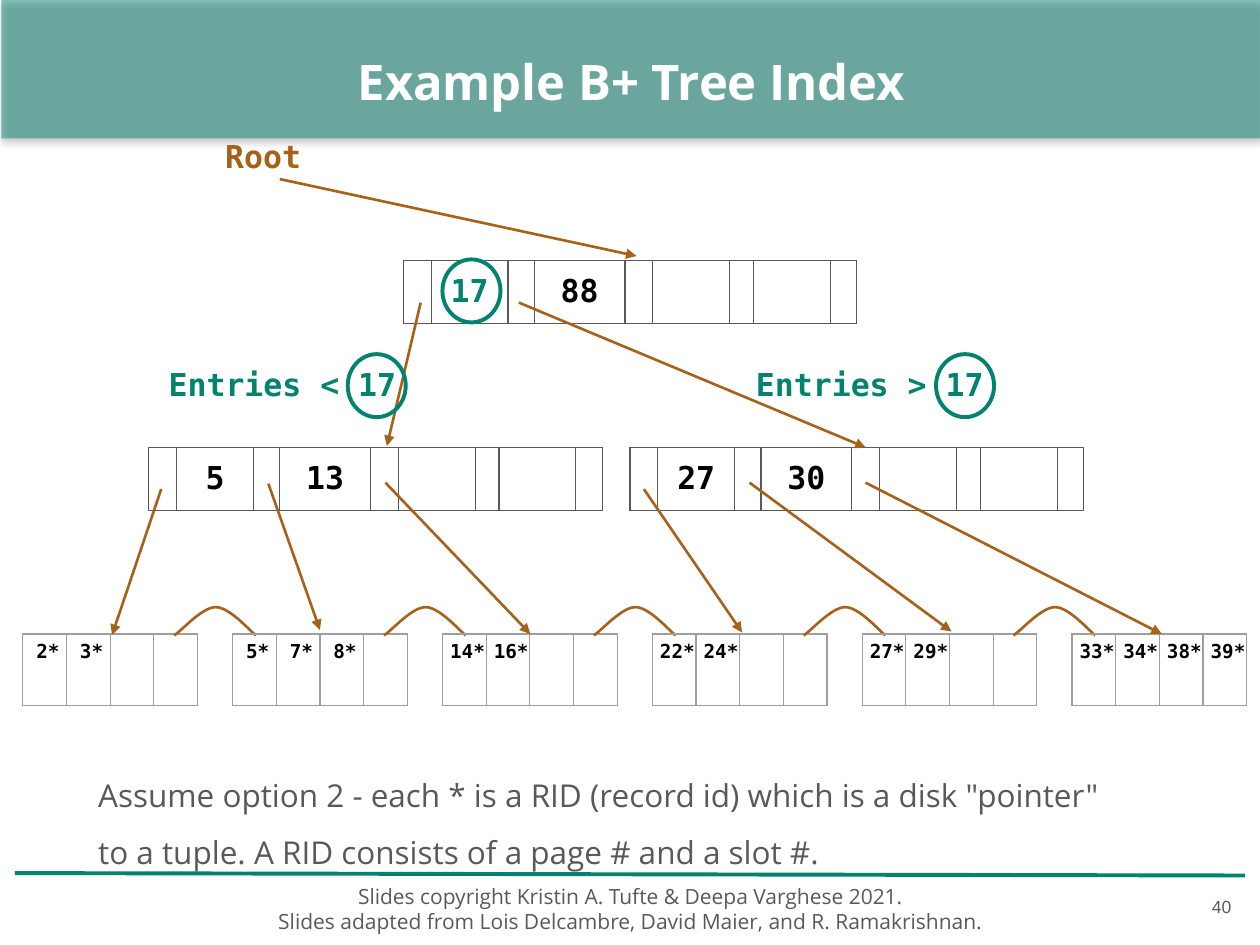
from lxml.etree import SubElement
from pptx import Presentation
from pptx.dml.color import RGBColor
from pptx.enum.shapes import MSO_CONNECTOR, MSO_SHAPE
from pptx.enum.text import MSO_ANCHOR, PP_ALIGN
from pptx.oxml import parse_xml
from pptx.oxml.ns import nsdecls, qn
from pptx.util import Cm, Pt

# Content, lengths in cm
COLORS = {"teal": "018370", "brown": "A6611A", "gray": "595959",
          "light": "9E9E9E", "white": "FFFFFF", "black": "000000"}
SANS, MONO = "Open Sans", "DejaVu Sans Mono"
TITLE = "Example B+ Tree Index"
NOTE = ('Assume option 2 - each * is a RID (record id) which is a disk "pointer" '
        "to a tuple. A RID consists of a page # and a slot #.")
CREDITS = ["Slides copyright Kristin A. Tufte & Deepa Varghese 2021.",
           "Slides adapted from Lois Delcambre, David Maier, and R. Ramakrishnan."]
LABELS = [("Root", 4.29, 2.64, 2.64, "brown"),
          ("Entries < 17", 3.15, 7.24, 5.26, "teal"),
          ("Entries > 17", 14.99, 7.24, 5.26, "teal")]
# Inner nodes: left, top, keys, key colours
NODES = [(8.13, 5.26, ["17", "88"], ["teal", "black"]),
         (3.0, 9.02, ["5", "13"], ["black", "black"]),
         (12.7, 9.02, ["27", "30"], ["black", "black"])]
NODE_COLS = [0.56, 1.55, 0.53, 1.83, 0.56, 1.55, 0.48, 1.55, 0.53]
LEAVES = [["2*", "3*"], ["5*", "7*", "8*"], ["14*", "16*"],
          ["22*", "24*"], ["27*", "29*"], ["33*", "34*", "38*", "39*"]]
LEAF_LEFT, LEAF_TOP, LEAF_PITCH, LEAF_COL = 0.46, 12.78, 4.23, 0.88
# Link between leaves: start, then two cubic curves
LINK = [(0, 0.57), (0.15, 0.48), (0.56, 0), (0.84, 0),
        (1.12, 0), (1.53, 0.48), (1.65, 0.57)]
LINK_DX, LINK_TOP = 3.05, 12.24
POINTERS = [(5.64, 3.61, 12.83, 5.16),
            (8.48, 6.1, 7.8, 8.99), (10.46, 6.1, 17.45, 9.02),
            (3.25, 9.86, 2.26, 12.8), (5.41, 9.75, 6.45, 12.7),
            (7.77, 9.73, 10.69, 12.78), (12.98, 9.86, 14.96, 12.75),
            (15.11, 9.73, 19.18, 12.73), (17.45, 9.73, 23.42, 12.78)]
CIRCLES = [(18.87, 7.14), (7.01, 7.14), (8.92, 5.23)]

prs = Presentation()
prs.slide_width, prs.slide_height = Cm(25.4), Cm(19.05)
s = prs.slides.add_slide(prs.slide_layouts[6])


def rgb(name):
    return RGBColor.from_string(COLORS[name])


def style(p, size, color, font=MONO, bold=False, align=PP_ALIGN.LEFT):
    f = p.font
    f.name, f.size, f.bold = font, Pt(size), bold
    f.color.rgb = rgb(color)
    p.alignment = align


def text(lines, x, y, w, h, *fmt, anchor=MSO_ANCHOR.TOP, spacing=None, before=0):
    tf = s.shapes.add_textbox(Cm(x), Cm(y), Cm(w), Cm(h)).text_frame
    tf.word_wrap, tf.vertical_anchor = True, anchor
    for i, line in enumerate(lines):
        p = tf.add_paragraph() if i else tf.paragraphs[0]
        p.text = line
        p.line_spacing, p.space_before = spacing, Pt(before)
        style(p, *fmt)


def line(x1, y1, x2, y2, color, width, arrow=False):
    c = s.shapes.add_connector(MSO_CONNECTOR.STRAIGHT, Cm(x1), Cm(y1), Cm(x2), Cm(y2))
    c.line.color.rgb, c.line.width = rgb(color), Pt(width)
    if arrow:
        SubElement(c.line._get_or_add_ln(), qn("a:tailEnd"), type="triangle")
    SubElement(c._element.spPr, qn("a:effectLst"))


def table(x, y, cols, height, values, colors, border, size, margins):
    """One-row table; values and colors map a column to its text and colour."""
    t = s.shapes.add_table(1, len(cols), Cm(x), Cm(y), Cm(sum(cols)), Cm(height)).table
    t.first_row = t.horz_banding = False
    t.rows[0].height = Cm(height)
    for i, width in enumerate(cols):
        t.columns[i].width = Cm(width)
        cell = t.cell(0, i)
        left, top, right, bottom = margins if i in values else (0, 0, 0, 0)
        cell.margin_left, cell.margin_right = Cm(left), Cm(right)
        cell.margin_top, cell.margin_bottom = Cm(top), Cm(bottom)
        p = cell.text_frame.paragraphs[0]
        p.text = values.get(i, "")
        style(p, size, colors.get(i, "black"), MONO, True, PP_ALIGN.CENTER)
        tcPr = cell._tc.get_or_add_tcPr()
        for side in ("lnL", "lnR", "lnT", "lnB"):
            tcPr.append(parse_xml(
                f'<a:{side} {nsdecls("a")} w="9525"><a:solidFill>'
                f'<a:srgbClr val="{COLORS[border]}"/></a:solidFill></a:{side}>'))
        cell.fill.background()


def link(x, y):
    pts = [(Cm(x + dx), Cm(y + dy)) for dx, dy in LINK]
    fb = s.shapes.build_freeform(*pts[0])
    fb.add_line_segments(pts[1:], close=False)
    sp = fb.convert_to_shape()
    sp.shadow.inherit = False
    sp.fill.background()
    sp.line.color.rgb, sp.line.width = rgb("brown"), Pt(1.5)
    # Turn each three segments into one cubic curve
    segments = list(sp._element.iter(qn("a:lnTo")))
    outline = segments[0].getparent()
    for i in range(0, len(segments), 3):
        curve = SubElement(outline, qn("a:cubicBezTo"))
        for seg in segments[i:i + 3]:
            curve.append(seg[0])
            outline.remove(seg)


# Header band, half transparent with a soft shadow
band = s.shapes.add_shape(MSO_SHAPE.RECTANGLE, Cm(0.03), 0, Cm(25.4), Cm(2.79))
band.shadow.inherit = False
band.fill.solid()
band.fill.fore_color.rgb = rgb("teal")
band.line.fill.background()
SubElement(band._element.spPr.find(".//" + qn("a:srgbClr")), qn("a:alpha"), val="46000")
band._element.spPr.find(qn("a:effectLst")).append(parse_xml(
    f'<a:outerShdw {nsdecls("a")} blurRad="57150" dist="19050" dir="5400000" '
    'algn="bl" rotWithShape="0"><a:srgbClr val="000000"><a:alpha val="50000"/>'
    "</a:srgbClr></a:outerShdw>"))

# Footer and title
line(0.3, 17.6, 25.1, 17.65, "teal", 2.25)
text(CREDITS, 1.35, 17.6, 22.73, 1.45, 12, "gray", SANS, False, PP_ALIGN.CENTER,
     anchor=MSO_ANCHOR.MIDDLE)
text([TITLE], 0.03, -0.05, 25.4, 2.79, 28, "white", SANS, True, PP_ALIGN.CENTER,
     anchor=MSO_ANCHOR.MIDDLE, spacing=1.5)
text(["40"], 23.55, 17.55, 1.52, 1.45, 10, "gray", "Arial", False, PP_ALIGN.RIGHT,
     anchor=MSO_ANCHOR.MIDDLE)

# Tree nodes: keys sit in the second and fourth columns
for x, y, keys, colors in NODES:
    table(x, y, NODE_COLS, 1.25, dict(zip((1, 3), keys)), dict(zip((1, 3), colors)),
          "gray", 18, (0.25, 0.25, 0.25, 0.25))
for i, entries in enumerate(LEAVES):
    x = LEAF_LEFT + i * LEAF_PITCH
    table(x, LEAF_TOP, [LEAF_COL] * 4, 1.45, dict(enumerate(entries)), {},
          "light", 11, (0.13, 0.13, 0, 0.13))
    if i < len(LEAVES) - 1:
        link(x + LINK_DX, LINK_TOP)

# Pointers, labels and circled keys
for ends in POINTERS:
    line(*ends, "brown", 1.5, arrow=True)
for label, x, y, w, color in LABELS:
    text([label], x, y, w, 0.94, 18, color, MONO, True)
for x, y in CIRCLES:
    oval = s.shapes.add_shape(MSO_SHAPE.OVAL, Cm(x), Cm(y), Cm(1.17), Cm(1.27))
    oval.shadow.inherit = False
    oval.fill.background()
    oval.line.color.rgb, oval.line.width = rgb("teal"), Pt(2.25)

# Note below the tree
text([NOTE], 1.73, 15.14, 20.8, 2.21, 18, "gray", SANS, spacing=1.5, before=4.8)

prs.save("out.pptx")
